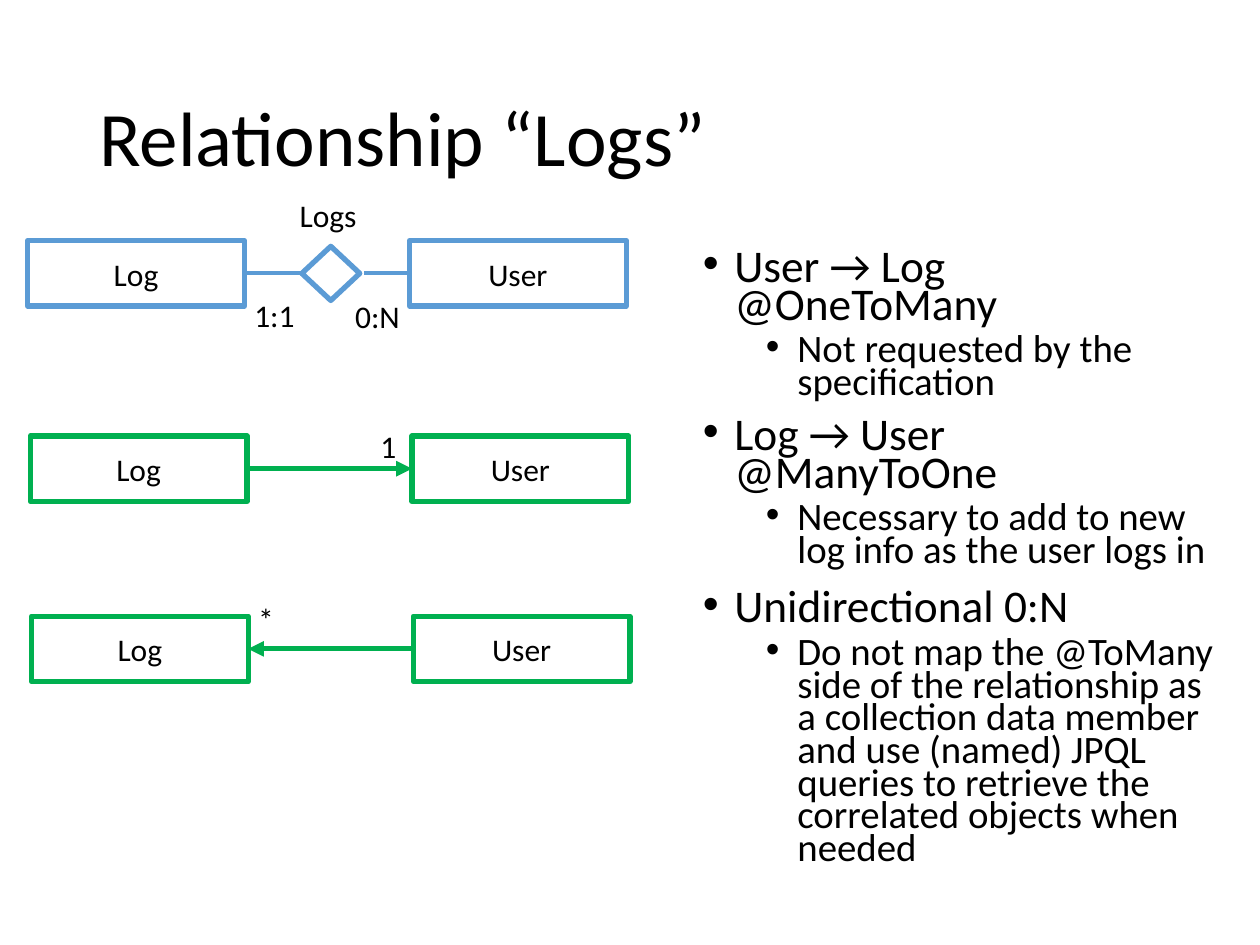
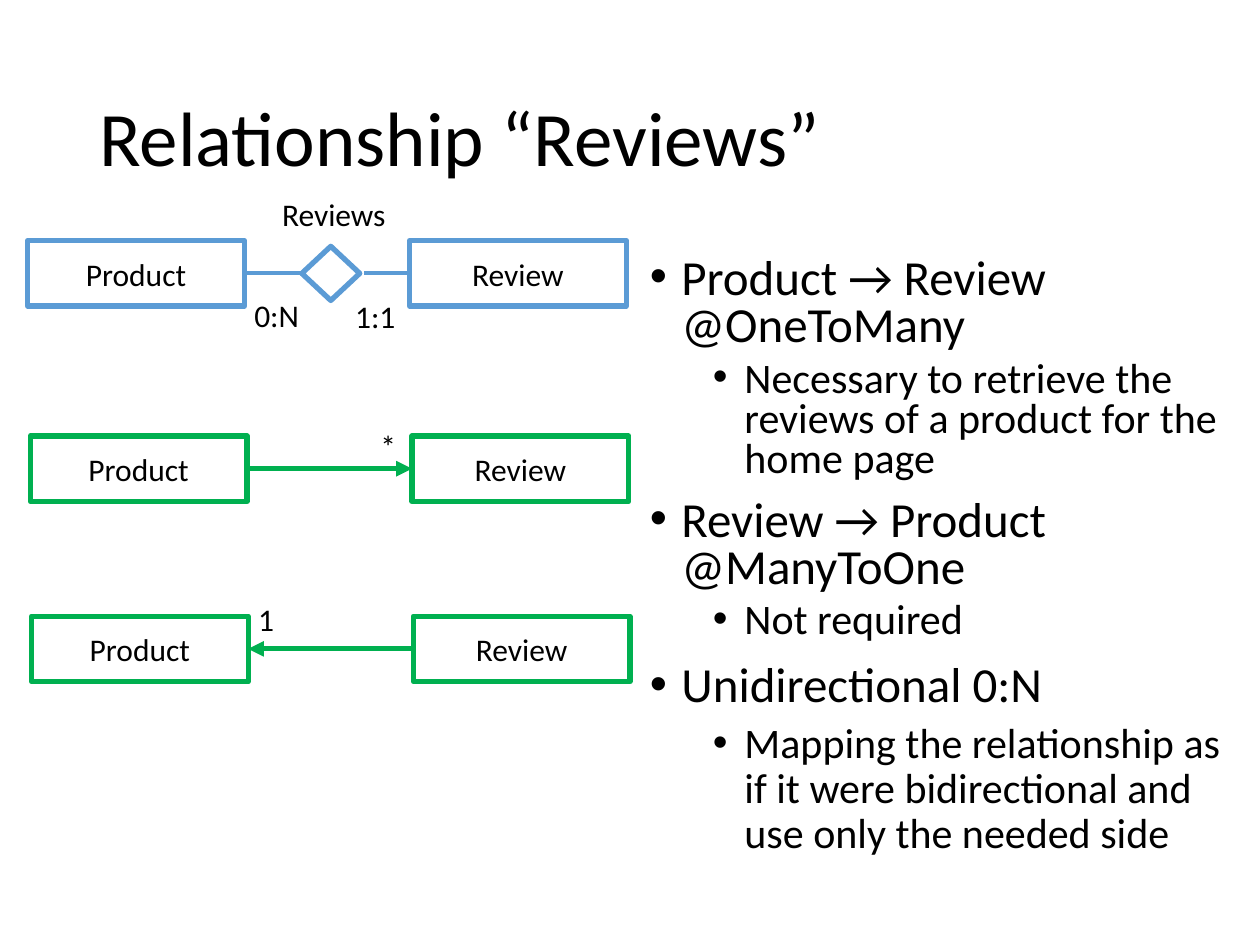
from pptx import Presentation
from pptx.dml.color import RGBColor as Rgb
from pptx.enum.shapes import MSO_CONNECTOR as Link, MSO_SHAPE as Shape
from pptx.enum.text import MSO_ANCHOR as Anchor, MSO_AUTO_SIZE as Fit, PP_ALIGN as Align
from pptx.oxml.ns import qn
from pptx.util import Inches, Pt
from lxml.etree import SubElement as Sub

HUES = {"ink": "000000", "paper": "FFFFFF", "blue": "5B9BD5", "green": "00B050"}
FONT = "Calibri"
WIDE, HIGH, STEP = 1.72, 0.52, 3.03


def hue(name):
    """Return the named colour."""
    return Rgb.from_string(HUES[name])


def write(para, text, size=18, align=Align.LEFT, space=1.0, before=0):
    """Fill a paragraph with text and format it."""
    para.text = text
    para.alignment = align
    para.line_spacing = space
    para.space_before = Pt(before)
    for run in para.runs:
        run.font.name = FONT
        run.font.size = Pt(size)
        run.font.color.rgb = hue("ink")


class Deck:
    """Holds the style and the current slide."""

    def __init__(self):
        """Start an empty 4:3 deck."""
        self.file = Presentation()
        self.file.slide_width = Inches(10)
        self.file.slide_height = Inches(7.5)
        self.slide = None

    def page(self, title):
        """Add a slide with its title."""
        self.slide = self.file.slides.add_slide(self.file.slide_layouts[6])
        frame = self.frame(0.69, 0.4, 8.62, 1.45)
        frame.vertical_anchor = Anchor.MIDDLE
        write(frame.paragraphs[0], title, size=44, space=0.9)

    def frame(self, x, y, w, h):
        """Add a wrapping text box and return its frame."""
        box = self.slide.shapes.add_textbox(*map(Inches, (x, y, w, h)))
        box.text_frame.word_wrap = True
        return box.text_frame

    def label(self, text, x, y, w):
        """Add a short caption that stays on one line."""
        frame = self.frame(x, y, w, 0.4)
        frame.word_wrap = False
        frame.auto_size = Fit.SHAPE_TO_FIT_TEXT
        write(frame.paragraphs[0], text)

    def shape(self, kind, x, y, w, h, line, fill=None):
        """Add an outlined shape."""
        form = self.slide.shapes.add_shape(kind, *map(Inches, (x, y, w, h)))
        form.shadow.inherit = False
        if fill:
            form.fill.solid()
            form.fill.fore_color.rgb = hue(fill)
        else:
            form.fill.background()
        form.line.color.rgb = hue(line)
        form.line.width = Pt(3)
        return form

    def pair(self, names, x, y, line, fill=None):
        """Add two named entity boxes side by side."""
        for i, name in enumerate(names):
            form = self.shape(Shape.RECTANGLE, x + i * STEP, y, WIDE, HIGH, line, fill)
            frame = form.text_frame
            frame.vertical_anchor = Anchor.MIDDLE
            write(frame.paragraphs[0], name, align=Align.CENTER)

    def line(self, start, end, y, color, width, arrow=False):
        """Add a level line, with an arrowhead at its end if asked."""
        link = self.slide.shapes.add_connector(
            Link.STRAIGHT, *map(Inches, (start, y, end, y)))
        link.line.color.rgb = hue(color)
        link.line.width = Pt(width)
        if arrow:
            Sub(link.line._get_or_add_ln(), qn("a:tailEnd"), type="triangle")
        Sub(link._element.spPr, qn("a:effectLst"))

    def points(self, place, sizes, items):
        """Add a two-level bullet list of (level, spacing, text) items."""
        frame = self.frame(*place)
        for i, (level, space, text) in enumerate(items):
            para = frame.add_paragraph() if i else frame.paragraphs[0]
            write(para, text, size=sizes[level], space=space, before=(10, 5)[level])
            para.level = level
            props = para._p.get_or_add_pPr()
            props.set("marL", str(Inches((0.25, 0.75)[level])))
            props.set("indent", str(Inches(-0.25)))
            Sub(props, qn("a:buFont"), typeface="Arial")
            Sub(props, qn("a:buChar"), char="•")

    def model(self, names, link, ends, marks):
        """Draw the entity diagram and its two one-way mappings."""
        self.pair(names, 0.22, 1.91, "blue", "paper")
        gem = self.shape(Shape.DIAMOND, 2.41, 1.94, 0.43, 0.46, "blue", "paper")
        gem.rotation = 90
        for start, end in ((1.94, 2.4), (2.89, 3.25)):
            self.line(start, end, 2.17, "blue", 2.25)
        self.label(*link)
        for text, x, y in zip(ends, (1.92, 2.72), (2.3, 2.31)):
            self.label(text, x, y, 0.56 if "N" in text else 0.53)
        rows = ((0.24, 3.46, 1.96, 3.27), (0.25, 4.89, 3.27, 1.97))
        for x, y, start, end in rows:
            self.pair(names, x, y, "green")
            self.line(start, end, y + HIGH / 2, "green", 3, arrow=True)
        for text, x, y in zip(marks, (2.92, 1.95), (3.34, 4.71)):
            self.label(text, x, y, 0.33)


deck = Deck()

deck.page("Relationship “Logs”")
deck.points((5.48, 1.95, 4.25, 5.02), (25.9, 22.2), (
    (0, 0.7, "User → Log\n@OneToMany"),
    (1, 0.7, "Not requested by the specification"),
    (0, 0.7, "Log → User\n@ManyToOne"),
    (1, 0.7, "Necessary to add to new log info as the user logs in"),
    (0, 0.8, "Unidirectional 0:N"),
    (1, 0.7, "Do not map the @ToMany side of the relationship as a collection "
             "data member and use (named) JPQL queries to retrieve the "
             "correlated objects when needed"),
))
deck.model(("Log", "User"), ("Logs", 2.28, 1.51, 0.66), ("1:1", "0:N"), "1*")

deck.page("Relationship “Reviews”")
deck.points((5.06, 2, 4.79, 5.02), (28, 24), (
    (0, 0.8, "Product → Review\n@OneToMany"),
    (1, 0.8, "Necessary to retrieve the reviews of a product for the home page"),
    (0, 0.8, "Review → Product\n@ManyToOne"),
    (1, 0.8, "Not required"),
    (0, 0.9, "Unidirectional 0:N"),
    (1, 0.9, "Mapping the relationship as if it were bidirectional and use "
             "only the needed side"),
))
deck.model(("Product", "Review"), ("Reviews", 2.14, 1.5, 1.03), ("0:N", "1:1"), "*1")

deck.file.save("out.pptx")
